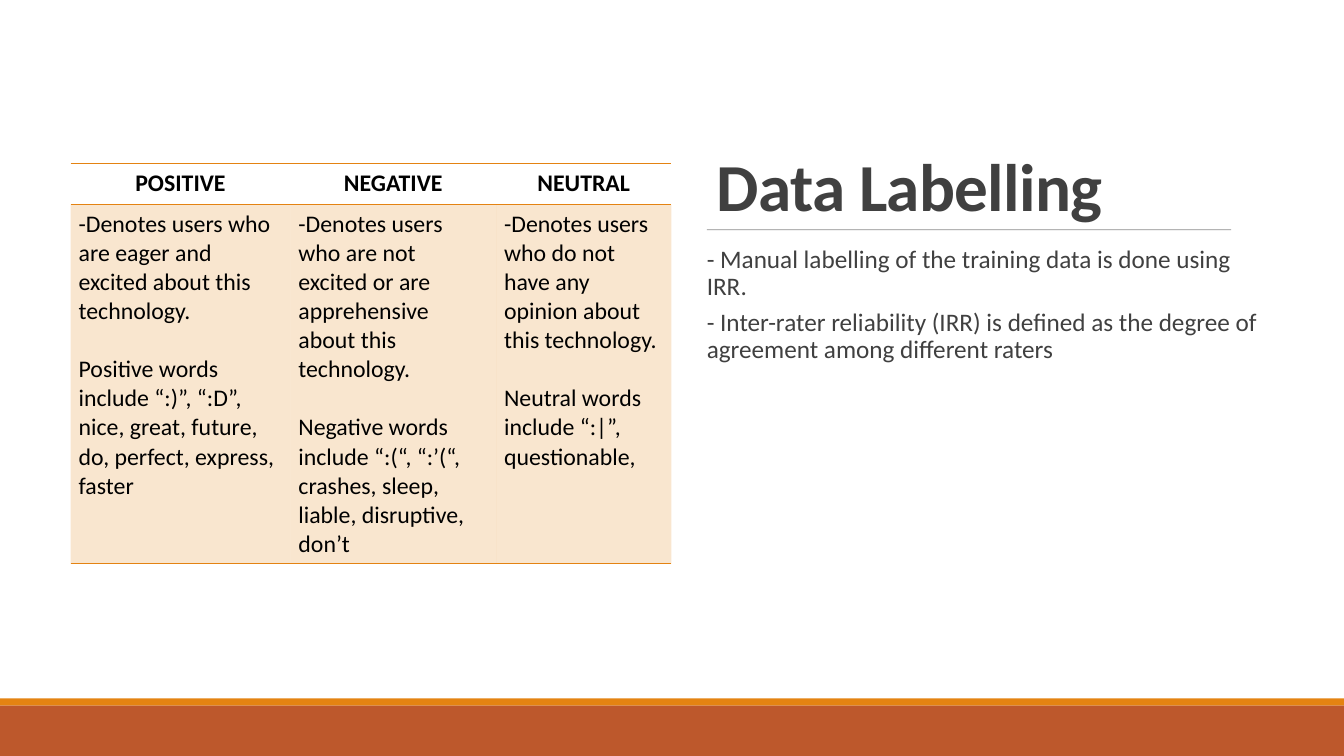
from dataclasses import dataclass

from lxml.etree import SubElement
from pptx import Presentation
from pptx.dml.color import RGBColor
from pptx.enum.shapes import MSO_CONNECTOR, MSO_SHAPE
from pptx.enum.text import MSO_ANCHOR, MSO_AUTO_SIZE, PP_ALIGN
from pptx.oxml.ns import qn
from pptx.util import Emu, Pt

EMU_PER_PX = 9144  # 100 px to the inch
SLIDE_WIDTH, SLIDE_HEIGHT = 1333, 750
FONT = "Calibri"
NO_STYLE_NO_GRID = "{2D5ABB26-0587-4C30-8999-92F81FD0307C}"

ORANGE = RGBColor(0xE4, 0x83, 0x12)
RUST = RGBColor(0xBD, 0x58, 0x2C)
CHARCOAL = RGBColor(0x40, 0x40, 0x40)
GREY = RGBColor(0x80, 0x80, 0x80)
BLACK = RGBColor(0x00, 0x00, 0x00)


@dataclass(frozen=True)
class Sentiment:
    label: str
    meaning: str
    words: str
    width: int


@dataclass(frozen=True)
class Band:
    top: int
    height: int
    color: RGBColor


SENTIMENTS = [
    Sentiment("POSITIVE",
              "-Denotes users who are eager and excited about this technology.",
              "Positive words include “:)”, “:D”, nice, great, future, do, perfect, express, faster",
              218),
    Sentiment("NEGATIVE",
              "-Denotes users who are not excited or are apprehensive about this technology.",
              "Negative words include “:(“, “:’(“, crashes, sleep, liable, disruptive, don’t",
              204),
    Sentiment("NEUTRAL",
              "-Denotes users who do not have any opinion about this technology.",
              "Neutral words include “:|”, questionable,",
              174),
]
ROW_HEIGHTS = [41, 350]
FOOTER_BANDS = [Band(693, 7, ORANGE), Band(700, 50, RUST)]
POINTS = [
    "- Manual labelling of the training data is done using IRR.",
    "- Inter-rater reliability (IRR) is defined as the degree of agreement among different raters",
]


def px(length: int) -> Emu:
    return Emu(length * EMU_PER_PX)


def place(shape, left: int, top: int, width: int, height: int) -> None:
    shape.left, shape.top = px(left), px(top)
    shape.width, shape.height = px(width), px(height)


def format_runs(paragraph, size: int, color: RGBColor, bold: bool = False) -> None:
    for run in paragraph.runs:
        run.font.name = FONT
        run.font.size = Pt(size)
        run.font.bold = bold
        run.font.color.rgb = color


def set_alpha(properties, percent: int) -> None:
    color = next(properties.iter(qn("a:srgbClr")))
    SubElement(color, qn("a:alpha"), val=str(percent * 1000))


def add_border(cell, side: str) -> None:
    border = SubElement(cell._tc.get_or_add_tcPr(), qn(f"a:{side}"), w=str(Pt(1)))
    fill = SubElement(border, qn("a:solidFill"))
    SubElement(fill, qn("a:srgbClr"), val=str(ORANGE))


def add_band(slide, band: Band) -> None:
    strip = slide.shapes.add_shape(
        MSO_SHAPE.RECTANGLE, 0, px(band.top), px(SLIDE_WIDTH), px(band.height))
    strip.shadow.inherit = False
    strip.fill.solid()
    strip.fill.fore_color.rgb = band.color
    strip.line.fill.background()


def fill_title(title) -> None:
    place(title, 701, 69, 561, 159)
    frame = title.text_frame
    frame.text = "Data Labelling"
    frame.auto_size = MSO_AUTO_SIZE.NONE
    frame.vertical_anchor = MSO_ANCHOR.BOTTOM
    heading = frame.paragraphs[0]
    heading.alignment = PP_ALIGN.LEFT
    heading.line_spacing = 0.85
    format_runs(heading, 48, CHARCOAL, bold=True)
    heading.runs[0].font._element.set("spc", "-50")


def fill_points(body) -> None:
    place(body, 701, 240, 561, 401)
    frame = body.text_frame
    frame.text = "\n".join(POINTS)
    frame.auto_size = MSO_AUTO_SIZE.NONE
    frame.vertical_anchor = MSO_ANCHOR.TOP
    frame.margin_left = frame.margin_right = 0
    frame.margin_top = frame.margin_bottom = px(5)
    for point in frame.paragraphs:
        point.line_spacing = 0.9
        point.space_before, point.space_after = Pt(0), Pt(6)
        format_runs(point, 18, CHARCOAL)
        properties = point._p.get_or_add_pPr()
        properties.set("marL", "0")
        properties.set("indent", "0")
        SubElement(properties, qn("a:buNone"))


def add_divider(slide) -> None:
    divider = slide.shapes.add_connector(
        MSO_CONNECTOR.STRAIGHT, px(701), px(228), px(1221), px(228))
    divider.line.color.rgb = GREY
    divider.line.width = Pt(0.5)
    properties = divider._element.spPr
    set_alpha(properties, 90)
    SubElement(properties, qn("a:effectLst"))


def add_sentiment_table(slide) -> None:
    total_width = sum(sentiment.width for sentiment in SENTIMENTS)
    table = slide.shapes.add_table(
        len(ROW_HEIGHTS), len(SENTIMENTS),
        px(70), px(162), px(total_width), px(sum(ROW_HEIGHTS))).table
    table.horz_banding = False
    table._tbl.tblPr.find(qn("a:tableStyleId")).text = NO_STYLE_NO_GRID
    for row, height in zip(table.rows, ROW_HEIGHTS):
        row.height = px(height)

    for index, sentiment in enumerate(SENTIMENTS):
        table.columns[index].width = px(sentiment.width)
        header, details = table.cell(0, index), table.cell(1, index)
        for cell in (header, details):
            cell.margin_left = cell.margin_right = px(8)
            cell.margin_top = cell.margin_bottom = px(5)
            add_border(cell, "lnT")
            add_border(cell, "lnB")

        # Header cell
        header.fill.background()
        header.text_frame.text = sentiment.label
        label = header.text_frame.paragraphs[0]
        label.alignment = PP_ALIGN.CENTER
        format_runs(label, 17, BLACK, bold=True)

        # Meaning and typical words
        details.fill.solid()
        details.fill.fore_color.rgb = ORANGE
        set_alpha(details._tc.tcPr.find(qn("a:solidFill")), 20)
        details.text_frame.text = f"{sentiment.meaning}\n{sentiment.words}"
        meaning, words = details.text_frame.paragraphs
        words.space_before = Pt(20.75)
        for paragraph in (meaning, words):
            format_runs(paragraph, 17, BLACK)


def main() -> None:
    presentation = Presentation()
    presentation.slide_width = px(SLIDE_WIDTH)
    presentation.slide_height = px(SLIDE_HEIGHT)
    slide = presentation.slides.add_slide(presentation.slide_layouts[1])

    # Title and explanation
    fill_title(slide.shapes.title)
    add_divider(slide)
    fill_points(slide.placeholders[1])

    # Footer bands
    for band in FOOTER_BANDS:
        add_band(slide, band)

    # Sentiment classes
    add_sentiment_table(slide)
    presentation.save("out.pptx")


if __name__ == "__main__":
    main()
